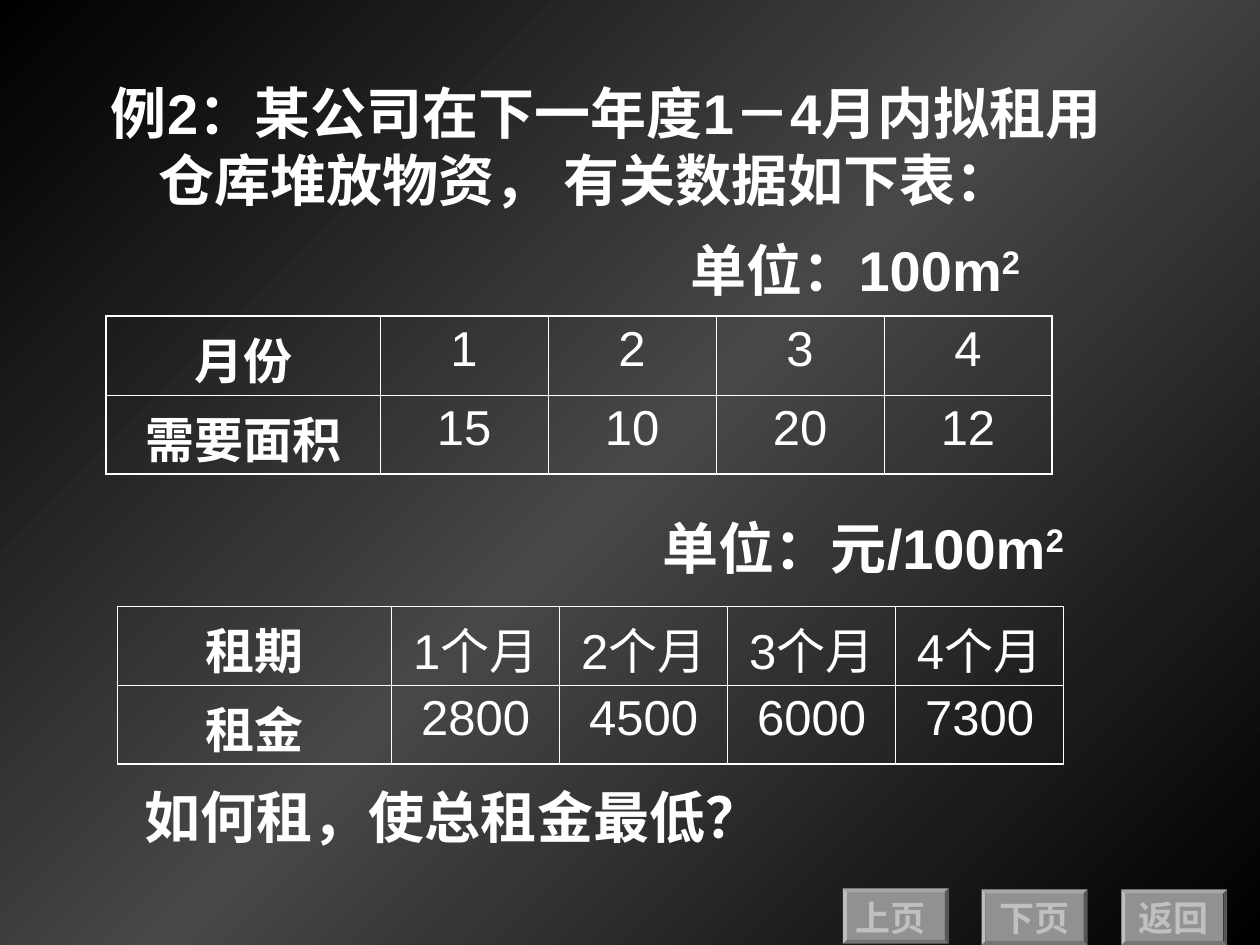
import copy
from dataclasses import dataclass

import pptx
import pptx.dml.color
import pptx.enum.shapes
import pptx.enum.text
import pptx.oxml
import pptx.oxml.ns
import pptx.util
from lxml import etree

Pt = pptx.util.Pt
qn = pptx.oxml.ns.qn
ALIGN = pptx.enum.text.PP_ALIGN
AUTO = pptx.enum.text.MSO_AUTO_SIZE

COLORS = {"edge": "000000", "glow": "474747", "text": "FFFFFF",
          "button": "919191", "label": "C0C0C0"}
INNER, OUTER = 0.45, 1.08
ROW_H = 45.1
COL_W = [156.6, 96, 96, 96, 96]


@dataclass
class Box:
    left: float
    top: float
    width: float
    height: float

    def pts(self) -> list:
        return [Pt(v) for v in (self.left, self.top, self.width, self.height)]


@dataclass
class Grid:
    left: float
    top: float
    rows: list


@dataclass
class Unit:
    box: Box
    text: str


@dataclass
class Button:
    left: float
    top: float
    label_left: float
    text: str


GRIDS = [
    Grid(60.6, 180.7, [["月份", "1", "2", "3", "4"],
                       ["需要面积", "15", "10", "20", "12"]]),
    Grid(67.2, 346.5, [["租期", "1个月", "2个月", "3个月", "4个月"],
                       ["租金", "2800", "4500", "6000", "7300"]]),
]
UNITS = [
    Unit(Box(387.4, 131, 210.2, 46), "单位：100m"),
    Unit(Box(371.5, 289.9, 251.3, 46), "单位：元/100m"),
]
BUTTONS = [
    Button(481.7, 507.6, 481.7, "上页"),
    Button(561, 508.3, 563.8, "下页"),
    Button(640.8, 508.3, 643.7, "返回"),
]


def rgb(name: str) -> pptx.dml.color.RGBColor:
    return pptx.dml.color.RGBColor.from_string(COLORS[name])


def add_run(p, text: str, size: float, bold: bool = True, color: str = "text"):
    r = p.add_run()
    r.text = text
    for key, value in {"name": "Arial", "size": Pt(size), "bold": bold}.items():
        setattr(r.font, key, value)
    r.font.color.rgb = rgb(color)
    return r


def set_background(s) -> None:
    s.background.fill.gradient()
    stops = s.element.find(".//" + qn("a:gsLst"))
    stops.insert(1, copy.deepcopy(stops[0]))
    fill = s.background.fill
    fill.gradient_angle = 315
    for stop, pos, name in zip(fill.gradient_stops, (0, 0.5, 1),
                               ("edge", "glow", "edge")):
        stop.position = pos
        stop.color.rgb = rgb(name)


def fill_placeholder(sp, box: Box, text: str) -> None:
    sp.left, sp.top, sp.width, sp.height = box.pts()
    tf = sp.text_frame
    for key, value in {"word_wrap": True, "auto_size": AUTO.NONE,
                       "vertical_anchor": pptx.enum.text.MSO_ANCHOR.TOP}.items():
        setattr(tf, key, value)
    p = tf.paragraphs[0]
    # Hanging indent without a bullet
    pPr = p._p.get_or_add_pPr()
    pPr.set("marL", str(Pt(27)))
    pPr.set("indent", str(-Pt(27)))
    etree.SubElement(pPr, qn("a:buNone"))
    for key, value in {"alignment": ALIGN.LEFT, "space_before": Pt(0),
                       "line_spacing": 1.0}.items():
        setattr(p, key, value)
    add_run(p, text, 32)


def add_label(s, box: Box, text: str, size: float, color: str = "text"):
    tf = s.shapes.add_textbox(*box.pts()).text_frame
    tf.word_wrap = False
    tf.auto_size = AUTO.SHAPE_TO_FIT_TEXT
    p = tf.paragraphs[0]
    add_run(p, text, size, color=color)
    return p


def add_unit(s, unit: Unit) -> None:
    p = add_label(s, unit.box, unit.text, 32)
    r = add_run(p, "2", 32)
    r.font._element.set("baseline", "30000")


def add_border(cell, side: str, width: float) -> None:
    ln = etree.SubElement(cell._tc.get_or_add_tcPr(), qn("a:ln" + side),
                          w=str(Pt(width)))
    solid = etree.SubElement(ln, qn("a:solidFill"))
    etree.SubElement(solid, qn("a:srgbClr"), val=COLORS["text"])


def add_grid(s, grid: Grid) -> None:
    n_rows, n_cols = len(grid.rows), len(COL_W)
    box = Box(grid.left, grid.top, sum(COL_W), ROW_H * n_rows)
    table = s.shapes.add_table(n_rows, n_cols, *box.pts()).table
    table.first_row = table.horz_banding = False
    for column, width in zip(table.columns, COL_W):
        column.width = Pt(width)
    for i, row in enumerate(grid.rows):
        table.rows[i].height = Pt(ROW_H)
        for j, text in enumerate(row):
            cell = table.cell(i, j)
            p = cell.text_frame.paragraphs[0]
            p.alignment = ALIGN.CENTER
            add_run(p, text, 28, bold=j == 0)
            outer = {"L": j == 0, "R": j == n_cols - 1,
                     "T": i == 0, "B": i == n_rows - 1}
            for side, is_outer in outer.items():
                add_border(cell, side, OUTER if is_outer else INNER)
            cell.fill.background()


def add_button(s, button: Button) -> None:
    box = Box(button.left, button.top, 60.5, 31.7)
    sp = s.shapes.add_shape(pptx.enum.shapes.MSO_SHAPE.BEVEL, *box.pts())
    sp.adjustments[0] = 0.07
    sp.shadow.inherit = False
    sp.fill.solid()
    sp.fill.fore_color.rgb = rgb("button")
    sp.line.fill.background()
    add_label(s, Box(button.label_left, 509, 56, 31.7), button.text, 20, "label")


def main() -> None:
    prs = pptx.Presentation()
    prs.slide_width, prs.slide_height = Pt(720), Pt(540)
    s = prs.slides.add_slide(prs.slide_layouts[1])
    set_background(s)

    # Navigation buttons
    for button in BUTTONS:
        add_button(s, button)

    # Problem statement and question
    fill_placeholder(s.shapes.title, Box(56.2, 41, 606.2, 95.8),
                     "例2：某公司在下一年度1－4月内拟租用仓库堆放物资， 有关数据如下表：")
    fill_placeholder(s.placeholders[1], Box(75.6, 443.5, 606.2, 95.8),
                     "如何租，使总租金最低？")

    # Data tables with their units
    for grid, unit in zip(GRIDS, UNITS):
        add_grid(s, grid)
        add_unit(s, unit)

    prs.save("out.pptx")


if __name__ == "__main__":
    main()
